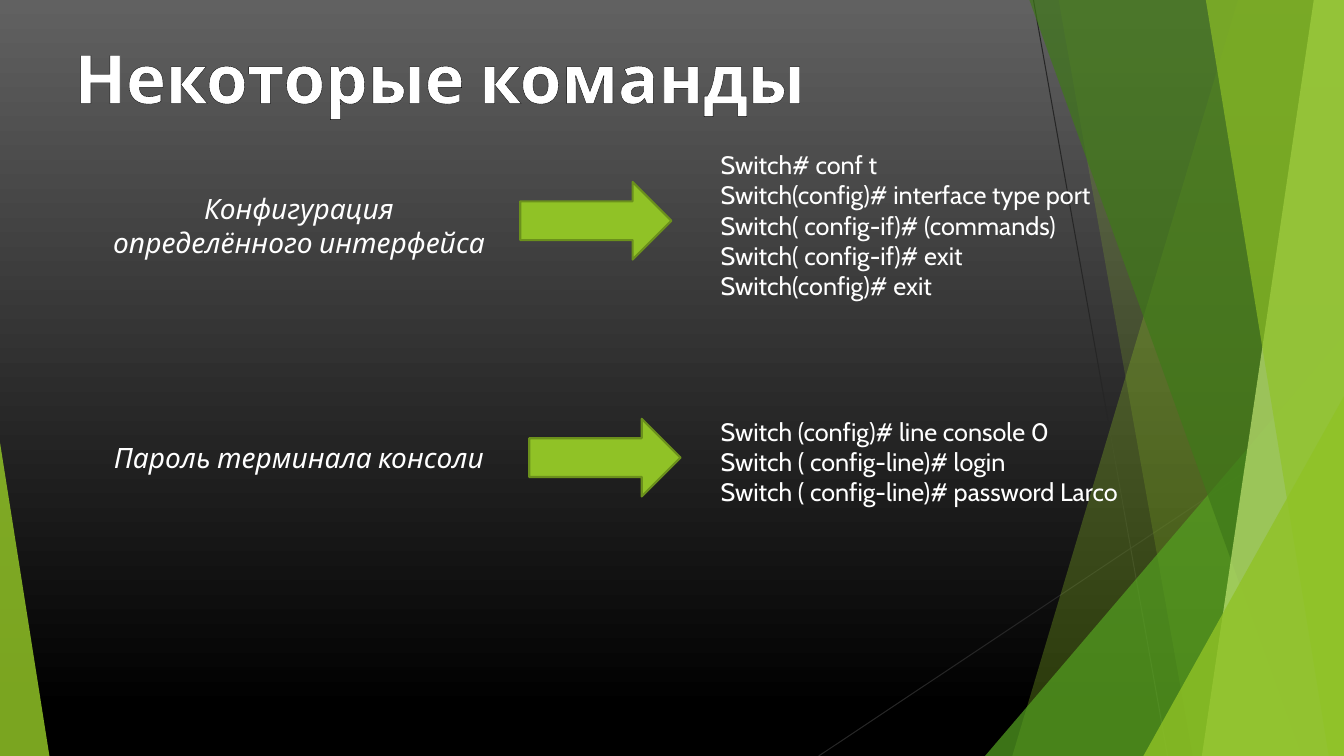
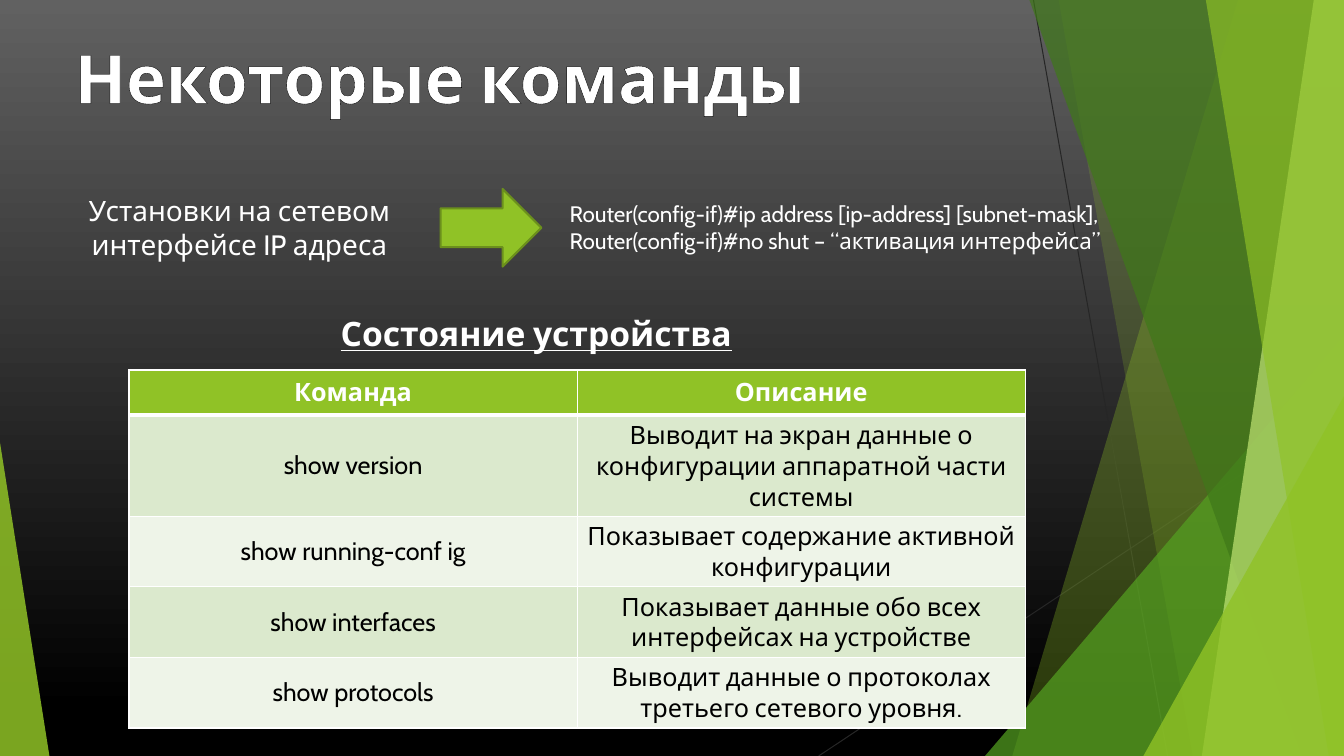
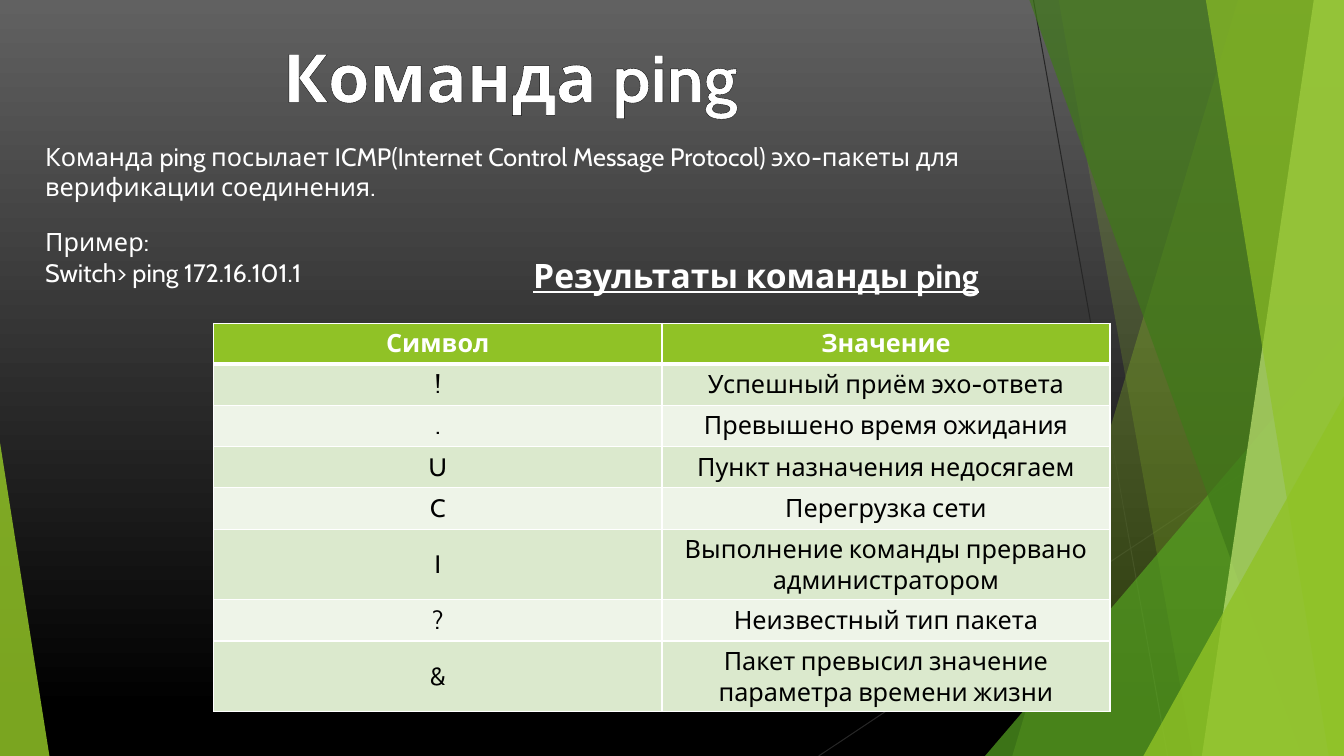
from lxml.etree import SubElement
from pptx import Presentation
from pptx.dml.color import RGBColor
from pptx.enum.shapes import MSO_CONNECTOR, MSO_SHAPE
from pptx.enum.text import MSO_ANCHOR, PP_ALIGN
from pptx.oxml.ns import qn
from pptx.util import Inches, Pt

# Shared style
FONT = "Cabin"
WHITE = RGBColor(0xFF, 0xFF, 0xFF)
BLACK = RGBColor(0x00, 0x00, 0x00)
SMOKE = RGBColor(0x61, 0x61, 0x61)
HAIRLINE = RGBColor(0x26, 0x26, 0x26)
LIME = RGBColor(0x90, 0xC2, 0x26)
LEAF = RGBColor(0x54, 0xA0, 0x21)
FOREST = RGBColor(0x3F, 0x78, 0x19)
PALE_LIME = RGBColor(0xC0, 0xE4, 0x74)
OLIVE = RGBColor(0x6B, 0x90, 0x1C)
ROW_DARK = RGBColor(0xDB, 0xE9, 0xCD)
ROW_LIGHT = RGBColor(0xEE, 0xF4, 0xE8)
PAGE_W, PAGE_H = 13.33, 7.5
ARROW_H = 0.77
LINE_FACTOR = 1.21
CENTER, LEFT = PP_ALIGN.CENTER, PP_ALIGN.LEFT


def inches(*lengths):
    return [Inches(length) for length in lengths]


def text_height(lines, size):
    """Height in inches of a text box with its default margins."""
    return lines * size * LINE_FACTOR / 72 + 0.1


def write_text(frame, lines, size=18, color=WHITE, align=LEFT,
               bold=False, italic=False, underline=False):
    """Fill a text frame, one paragraph for each line."""
    frame.word_wrap = True
    for index, line in enumerate(lines):
        para = frame.paragraphs[0] if index == 0 else frame.add_paragraph()
        para.alignment = align
        span = para.add_run()
        span.text = line
        font = span.font
        font.name, font.size, font.color.rgb = FONT, Pt(size), color
        font.bold, font.italic, font.underline = bold, italic, underline


def add_text(page, box, lines, **style):
    shape = page.shapes.add_textbox(*inches(*box))
    write_text(shape.text_frame, lines, **style)


def add_solid_line(parent, tag, color, width):
    line = SubElement(parent, qn(tag), w=str(Pt(width)))
    fill = SubElement(line, qn("a:solidFill"))
    SubElement(fill, qn("a:srgbClr"), val=str(color))
    return line


# Backdrop
def paint(shape, color, opacity):
    shape.shadow.inherit = False
    shape.fill.solid()
    shape.fill.fore_color.rgb = color
    shape.line.fill.background()
    tint = shape.element.spPr.find(qn("a:solidFill")).find(qn("a:srgbClr"))
    SubElement(tint, qn("a:alpha"), val=str(opacity * 1000))


def add_hairline(page, ends):
    line = page.shapes.add_connector(MSO_CONNECTOR.STRAIGHT, *inches(*ends))
    line.line.color.rgb = HAIRLINE
    line.line.width = Pt(0.75)
    SubElement(line.element.spPr, qn("a:effectLst"))
    return line


def add_pane(page, top_x, bottom_x, color, opacity):
    """Slanted pane from the given left edge to the page's right side."""
    outline = page.shapes.build_freeform(*inches(top_x, 0))
    corners = [(PAGE_W, 0), (PAGE_W, PAGE_H), (bottom_x, PAGE_H)]
    outline.add_line_segments([inches(*corner) for corner in corners])
    pane = outline.convert_to_shape()
    paint(pane, color, opacity)
    return pane


def add_wedge(page, left, top, width, apex, color, opacity):
    """Triangle standing on the bottom edge of the page."""
    wedge = page.shapes.add_shape(MSO_SHAPE.ISOSCELES_TRIANGLE,
                                  *inches(left, top, width, PAGE_H - top))
    wedge.adjustments[0] = apex
    paint(wedge, color, opacity)
    return wedge


def style_layout(deck, layout):
    """Give the layout its gradient and the green facets."""
    for holder in list(layout.placeholders):
        if holder.placeholder_format.idx != 0:
            holder.element.getparent().remove(holder.element)

    fill = layout.background.fill
    fill.gradient()
    fill.gradient_angle = 270
    for stop, color, position in zip(fill.gradient_stops, (SMOKE, BLACK), (0, 0.94)):
        stop.color.rgb = color
        stop.position = position

    # Layouts cannot add shapes, so the first page lends its drawing methods
    page = deck.slides.add_slide(layout)
    facets = [
        add_hairline(page, (10.25, 0, 11.58, PAGE_H)),
        add_hairline(page, (PAGE_W, 4.03, 8.12, PAGE_H)),
        add_pane(page, 12.28, 10.04, LIME, 30),
        add_pane(page, 10.5, 11.83, LIME, 20),
        add_wedge(page, 9.77, 3.33, 3.56, 1, LEAF, 72),
        add_pane(page, 10.21, 12.91, FOREST, 70),
        add_pane(page, 13.03, 11.92, PALE_LIME, 70),
        add_pane(page, 11.96, 13.18, LIME, 65),
        add_wedge(page, 11.34, 3.93, 1.99, 1, LIME, 80),
        add_wedge(page, 0, 4.39, 0.49, 0, LIME, 85),
    ]
    for facet in facets:
        layout.shapes.element.append(facet.element)
    return page


# Regions
def set_title(page, text, left=0.44, top=0.31, width=7.85):
    title = page.shapes.title
    title.left, title.top, title.width, title.height = inches(left, top, width, 0.91)
    frame = title.text_frame
    frame.vertical_anchor = MSO_ANCHOR.TOP
    write_text(frame, [text], size=48, align=CENTER, bold=True)
    props = frame.paragraphs[0].runs[0].font._element
    props.insert(0, add_solid_line(props, "a:ln", BLACK, 0.75))


def add_command_row(page, left, middle, label, label_lines, code, arrow, code_left,
                    code_width, code_size=18, code_shift=0, arrow_shift=0, italic=True):
    """Label, arrow and commands, centred on one horizontal line."""
    label_h = text_height(label_lines, 20)
    add_text(page, (left, middle - label_h / 2, 3.99, label_h), [label],
             size=20, align=CENTER, italic=italic)

    arrow_dx, arrow_w = arrow
    pointer = page.shapes.add_shape(
        MSO_SHAPE.RIGHT_ARROW,
        *inches(left + arrow_dx, middle - ARROW_H / 2 + arrow_shift, arrow_w, ARROW_H))
    pointer.shadow.inherit = False
    pointer.fill.solid()
    pointer.fill.fore_color.rgb = LIME
    pointer.line.color.rgb = OLIVE
    pointer.line.width = Pt(1.5)

    code_h = text_height(len(code), code_size)
    add_text(page, (left + code_left, middle - code_h / 2 + code_shift,
                    code_width, code_h), code, size=code_size)


def add_grid(page, left, top, rows, header_height):
    """Two-column table with a green header and banded rows."""
    heights = [header_height] + [0.41] * (len(rows) - 1)
    table = page.shapes.add_table(
        len(rows), 2, *inches(left, top, 8.89, sum(heights))).table
    for row_index, row in enumerate(rows):
        table.rows[row_index].height = Inches(heights[row_index])
        header = row_index == 0
        band = LIME if header else (ROW_LIGHT, ROW_DARK)[row_index % 2]
        widths = {"a:lnL": 1, "a:lnR": 1, "a:lnT": 3 if row_index == 1 else 1,
                  "a:lnB": 3 if header else 1}
        for column, text in enumerate(row):
            cell = table.cell(row_index, column)
            cell.vertical_anchor = MSO_ANCHOR.MIDDLE
            props = cell._tc.get_or_add_tcPr()
            for tag, width in widths.items():
                add_solid_line(props, tag, WHITE, width)
            cell.fill.solid()
            cell.fill.fore_color.rgb = band
            write_text(cell.text_frame, [text], align=CENTER, bold=header,
                       color=WHITE if header else BLACK)


# Slides
def fill_interface_page(page):
    set_title(page, "Некоторые команды")
    add_command_row(
        page, 0.97, 2.24, "Конфигурация определённого интерфейса", 2,
        ["Switch# conf t",
         "Switch(config)# interface type port",
         "Switch( config-if)# (commands)",
         "Switch( config-if)# exit",
         "Switch(config)# exit"],
        arrow=(4.19, 1.5), arrow_shift=-0.05, code_left=6.08, code_width=4.87)
    add_command_row(
        page, 0.97, 4.54, "Пароль терминала консоли", 1,
        ["Switch (config)# line console 0",
         "Switch ( config-line)# login",
         "Switch ( config-line)# password Larco"],
        arrow=(4.28, 1.5), code_left=6.08, code_width=4.54, code_shift=0.04)


def fill_status_page(page):
    set_title(page, "Некоторые команды")
    add_command_row(
        page, 0.38, 2.26, "Установки на сетевом интерфейсе IP адреса", 2,
        ["Router(config-if)#ip address [ip-address] [subnet-mask],",
         "Router(config-if)#no shut – “активация интерфейса”"],
        arrow=(3.99, 1), code_left=5.17, code_width=6.28, code_size=16, italic=False)
    add_grid(page, 1.28, 3.67, [
        ("Команда", "Описание"),
        ("show version", "Выводит на экран данные о конфигурации аппаратной части системы"),
        ("show running-conf ig", "Показывает содержание активной конфигурации"),
        ("show interfaces", "Показывает данные обо всех интерфейсах на устройстве"),
        ("show protocols", "Выводит данные о протоколах третьего сетевого уровня."),
    ], header_height=0.45)
    add_text(page, (2.35, 3.06, 5.94, 0.5), ["Состояние устройства"],
             size=24, align=CENTER, bold=True, underline=True)


def fill_ping_page(page):
    set_title(page, "Команда ping", left=0.3, top=0.3, width=9.52)
    add_text(page, (0.35, 1.35, 10.4, 0.71), [
        "Команда ping посылает ICMP(Internet Control Message Protocol) эхо-пакеты для",
        "верификации соединения."])
    add_text(page, (0.35, 2.2, 3.53, 0.71), ["Пример:", "Switch> ping 172.16.101.1"])
    add_grid(page, 2.12, 3.21, [
        ("Символ", "Значение"),
        ("!", "Успешный приём эхо-ответа"),
        (".", "Превышено время ожидания"),
        ("U", "Пункт назначения недосягаем"),
        ("C", "Перегрузка сети"),
        ("I", "Выполнение команды прервано администратором"),
        ("?", "Неизвестный тип пакета"),
        ("&", "Пакет превысил значение параметра времени жизни"),
    ], header_height=0.4)
    add_text(page, (5.19, 2.48, 4.63, 0.5), ["Результаты команды ping"],
             size=24, bold=True, underline=True)


def main():
    deck = Presentation()
    deck.slide_width, deck.slide_height = inches(PAGE_W, PAGE_H)
    layout = deck.slide_layouts[5]
    fill_interface_page(style_layout(deck, layout))
    fill_status_page(deck.slides.add_slide(layout))
    fill_ping_page(deck.slides.add_slide(layout))
    deck.save("out.pptx")


if __name__ == "__main__":
    main()
